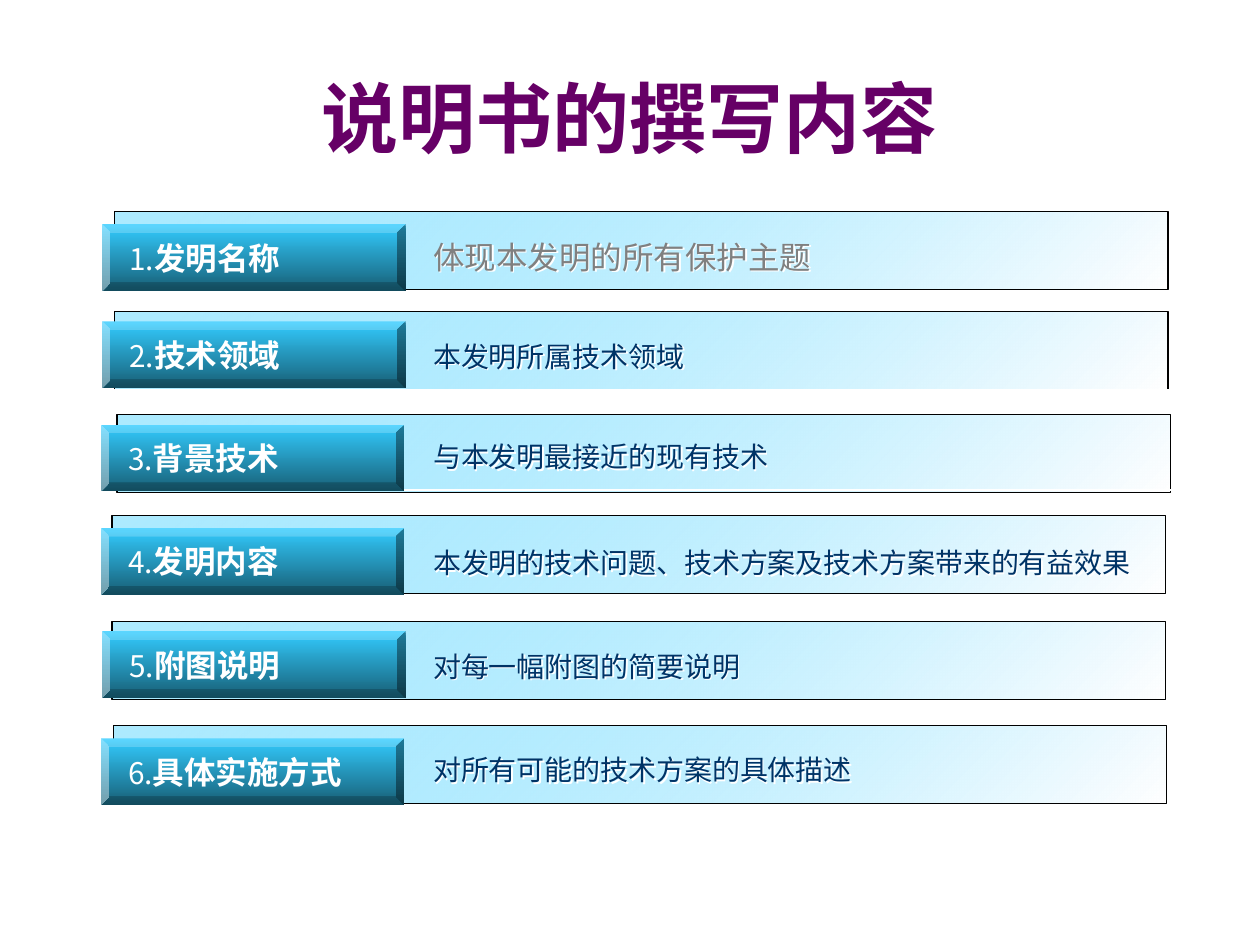
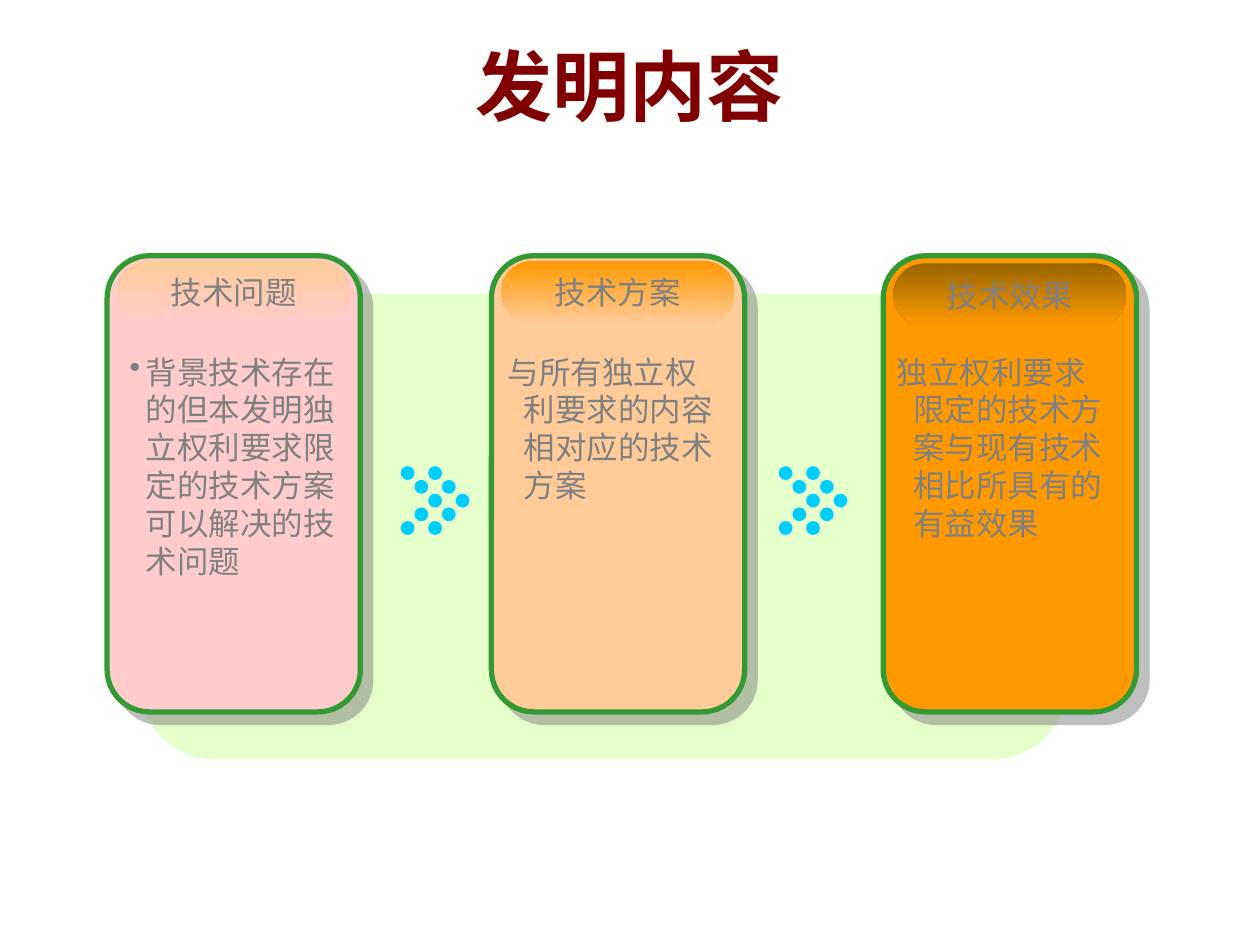
"""Build two slides on the contents of a patent description."""
from lxml import etree
from pptx import Presentation
from pptx.dml.color import RGBColor as Rgb
from pptx.enum.shapes import MSO_CONNECTOR as Link, MSO_SHAPE as Kind
from pptx.enum.text import MSO_ANCHOR as Anchor, PP_ALIGN as Align
from pptx.oxml import parse_xml
from pptx.oxml.ns import nsdecls, qn
from pptx.util import Inches, Pt

CELL = Inches(10) / 100
SANS, HAN = "Noto Sans CJK KR", "Noto Sans CJK SC"
HUES = {
    "plum": "660066", "maroon": "800000", "sky": "33CCFF", "teal": "175E75",
    "white": "FFFFFF", "black": "000000", "grey": "808080", "navy": "003366",
    "lime": "CCFF99", "green": "339933", "cyan": "00CCFF", "pink": "FFCCCC",
    "peach": "FFCC99", "orange": "FF9900", "brown": "996600",
}
FONTS = {
    "title": {"name": "Arial", "size": Pt(44), "bold": True},
    "num": {"name": SANS, "size": Pt(17), "bold": False},
    "label": {"name": "Arial", "size": Pt(18), "bold": True},
    "lead": {"name": HAN, "size": Pt(18)},
    "note": {"name": SANS, "size": Pt(16)},
    "card": {"name": "Arial", "size": Pt(18)},
}
TOPICS = [
    ("发明名称", "体现本发明的所有保护主题", (9.1, 16.8), (8.1, 17.8), 16.6),
    ("技术领域", "本发明所属技术领域", (9.1, 24.7), (8.1, 25.5), 24.5),
    ("背景技术", "与本发明最接近的现有技术", (9.3, 32.9), (8, 33.7), 32.5),
    ("发明内容", "本发明的技术问题、技术方案及技术方案带来的有益效果",
     (8.9, 40.9), (8, 41.9), 40.9),
    ("附图说明", "对每一幅附图的简要说明", (8.9, 49.3), (8.1, 50.1), 49.1),
    ("具体实施方式", "对所有可能的技术方案的具体描述", (9, 57.6), (8, 58.6), 57.3),
]
RULES = (23.1, 30.9, 38.9, 47.2, 55.6, 64)
CARDS = [
    ("技术问题", "背景技术存在的但本发明独立权利要求限定的技术方案可以解决的技术问题",
     8.5, 20.7, 9.3, "peach", "pink", True),
    ("技术方案", "与所有独立权利要求的内容相对应的技术方案",
     39, 20.7, 39.3, "orange", "peach", False),
    ("技术效果", "独立权利要求限定的技术方案与现有技术相比所具有的有益效果",
     70.1, 20.9, 70.2, "brown", "orange", False),
]


def cells(*spans):
    """Turn grid cells into lengths."""
    return [int(span * CELL) for span in spans]


def hue(name):
    """Return the named colour."""
    return Rgb.from_string(HUES[name])


def tint(name, share=100):
    """Return colour markup with its opacity in percent."""
    return f'<a:srgbClr val="{HUES[name]}"><a:alpha val="{share * 1000}"/></a:srgbClr>'


def shape(host, kind, spot, fill=None, edge=None, width=0.75, adj=None):
    """Add a preset shape with a plain fill and outline."""
    item = host.add_shape(kind, *cells(*spot))
    item.shadow.inherit = False
    if adj is not None:
        item.adjustments[0] = adj
    if fill:
        item.fill.solid()
        item.fill.fore_color.rgb = hue(fill)
    if edge:
        item.line.color.rgb = hue(edge)
        item.line.width = Pt(width)
    else:
        item.line.fill.background()
    return item


def blend(item, start, end, angle):
    """Fill a shape with a gradient between two (colour, opacity) pairs."""
    stops = "".join(f'<a:gs pos="{pos}">{tint(*stop)}</a:gs>'
                    for pos, stop in ((0, start), (100000, end)))
    fill = parse_xml(f'<a:gradFill {nsdecls("a")} rotWithShape="1"><a:gsLst>{stops}'
                     f'</a:gsLst><a:lin ang="{angle * 60000}" scaled="0"/></a:gradFill>')
    item._element.spPr.find(qn("a:prstGeom")).addnext(fill)


def shade(item, name, share, dist):
    """Cast a shadow to the lower right."""
    item.shadow.inherit = False
    glow = item._element.spPr.find(qn("a:effectLst"))
    glow.append(parse_xml(
        f'<a:outerShdw {nsdecls("a")} dist="{Pt(dist)}" dir="2700000" algn="ctr" '
        f'rotWithShape="0">{tint(name, share)}</a:outerShdw>'))


def write(para, text, font, color):
    """Add a run in one of the shared fonts."""
    run = para.add_run()
    run.text = text
    for key, value in FONTS[font].items():
        setattr(run.font, key, value)
    run.font.color.rgb = hue(color)
    name = FONTS[font]["name"]
    east = etree.SubElement(run._r.get_or_add_rPr(), qn("a:ea"))
    east.set("typeface", HAN if name == "Arial" else name)


def frame(item, align=Align.LEFT, anchor=Anchor.MIDDLE, wrap=True):
    """Set up the text frame and return its first paragraph."""
    body = item.text_frame
    for key, value in {"word_wrap": wrap, "vertical_anchor": anchor}.items():
        setattr(body, key, value)
    para = body.paragraphs[0]
    para.alignment = align
    return para


def title(slide, text, spot, color):
    """Add the centred slide title."""
    item = slide.shapes.add_textbox(*cells(*spot))
    write(frame(item, Align.CENTER), text, "title", color)


def rule(slide, *ends):
    """Draw a thin white line."""
    line = slide.shapes.add_connector(Link.STRAIGHT, *cells(*ends))
    line.line.color.rgb = hue("white")
    line.line.width = Pt(0.75)
    etree.SubElement(line._element.spPr, qn("a:effectLst"))


def bar(slide, left, top):
    """Draw the pale band behind a topic."""
    item = shape(slide.shapes, Kind.RECTANGLE, (left, top, 83.6, 6.2), edge="black")
    blend(item, ("sky", 40), ("white", 90), 45)


def tag(slide, num, text, left, top):
    """Draw the bevelled, numbered topic label."""
    item = shape(slide.shapes, Kind.BEVEL, (left, top, 24.1, 5.3), adj=0.125)
    blend(item, ("sky",), ("teal",), 90)
    item.text_frame.margin_left = Inches(0.15)
    para = frame(item, wrap=False)
    write(para, f"{num}.", "num", "white")
    write(para, text, "label", "white")


def note(slide, text, top, font, color):
    """Write what a topic covers."""
    item = slide.shapes.add_textbox(*cells(33.4, top, 59, 7.5))
    write(frame(item), text, font, color)
    shade(item, "white", 100, 1.4)


def card(slide, head, text, left, top, inset, dark, pale, dot):
    """Draw a shadowed card with its heading and body."""
    panel = shape(slide.shapes, Kind.ROUNDED_RECTANGLE, (left, 20.3, 20.1, 36.2),
                  pale, "green", 3, 0.167)
    shade(panel, "grey", 50, 8.5)
    cap = shape(slide.shapes, Kind.ROUNDED_RECTANGLE, (left + 0.8, top, 18.5, 5), adj=0.5)
    blend(cap, (dark,), (pale,), 90)
    write(frame(cap, Align.CENTER, wrap=False), head, "card", "grey")
    body = slide.shapes.add_textbox(*cells(inset, 27.5, 19.2, 19))
    para = frame(body, anchor=Anchor.TOP)
    para.line_spacing = Pt(21.6)
    props = para._p.get_or_add_pPr()
    for key, value in {"marL": 0.13, "indent": -0.13}.items():
        props.set(key, str(Inches(value)))
    if dot:
        etree.SubElement(props, qn("a:buChar")).set("char", "•")
    write(para, text, "card", "grey")


def arrow(slide, left, top, step=1.09):
    """Draw a double chevron of dots."""
    group = slide.shapes.add_group_shape()
    for col in (2, 0):
        for row in range(5):
            across = col + 2 - abs(row - 2)
            spot = (left + across * step, top + row * step, 1.1, 1.1)
            shape(group.shapes, Kind.OVAL, spot, "cyan")


def outline(slide):
    """Fill the slide that lists the six topics."""
    title(slide, "说明书的撰写内容", (5, 3, 90, 12.5), "plum")
    for topic in TOPICS:
        bar(slide, *topic[2])
    for top in RULES:
        rule(slide, 6.2, top, 93.8, top)
    rule(slide, 6.1, RULES[0], 6.1, RULES[-1])
    for num, (head, text, _, spot, top) in enumerate(TOPICS, 1):
        tag(slide, num, head, *spot)
        look = ("lead", "grey") if num == 1 else ("note", "navy")
        note(slide, text, top, *look)


def content(slide):
    """Fill the slide with the three linked cards."""
    title(slide, "发明内容", (7.5, 0.5, 85, 12.5), "maroon")
    back = shape(slide.shapes, Kind.ROUNDED_RECTANGLE, (11, 23.3, 73.8, 37), adj=0.167)
    blend(back, ("lime", 50), ("lime", 50), 0)
    for item in CARDS:
        card(slide, *item)
    for left in (31.8, 61.8):
        arrow(slide, left, 37)


def main():
    """Build and save the deck."""
    deck = Presentation()
    deck.slide_width, deck.slide_height = cells(100, 75)
    for fill in (outline, content):
        fill(deck.slides.add_slide(deck.slide_layouts[6]))
    deck.save("out.pptx")


if __name__ == "__main__":
    main()
